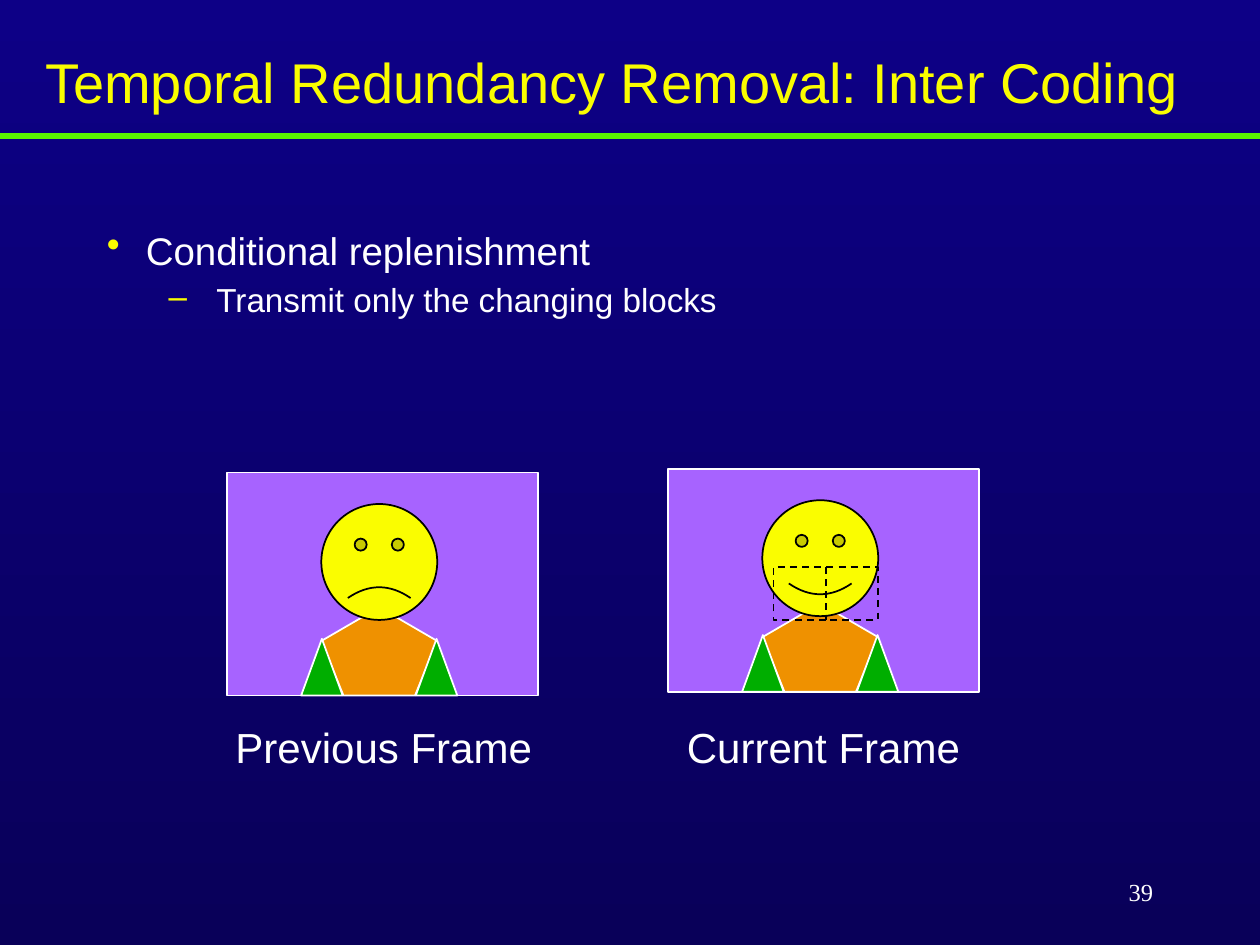
from lxml.etree import SubElement
from pptx import Presentation
from pptx.dml.color import RGBColor
from pptx.enum.dml import MSO_LINE
from pptx.enum.shapes import MSO_CONNECTOR, MSO_SHAPE
from pptx.enum.text import MSO_ANCHOR, MSO_AUTO_SIZE, PP_ALIGN
from pptx.oxml.ns import qn
from pptx.util import Inches, Pt

COLORS = {
    "top": "0D0086", "bottom": "090059", "rule": "5AF400", "yellow": "FAFD00",
    "white": "FFFFFF", "black": "000000", "purple": "A763FF", "orange": "EF9100",
    "green": "00AE00",
}


def rgb(name):
    return RGBColor.from_string(COLORS[name])


class SlideBuilder:
    """Holds the style and the current slide, and adds elements to it."""

    font = "Arial"

    def __init__(self, slide):
        self.slide = slide

    def background(self, first, last):
        fill = self.slide.background.fill
        fill.gradient()
        fill.gradient_angle = 270
        for stop, name, position in zip(fill.gradient_stops, (first, last), (0, 1)):
            stop.color.rgb = rgb(name)
            stop.position = position

    def outline(self, line, color, width, dash=None):
        line.color.rgb = rgb(color)
        line.width = Pt(width)
        if dash:
            line.dash_style = dash

    def line(self, start, end, color, width=1, dash=None, parent=None):
        shapes = (parent or self.slide).shapes
        points = [Inches(value) for value in (*start, *end)]
        connector = shapes.add_connector(MSO_CONNECTOR.STRAIGHT, *points)
        self.outline(connector.line, color, width, dash)
        SubElement(connector._element.spPr, qn("a:effectLst"))

    def shape(self, kind, box, fill=None, color="white", dash=None, parent=None):
        shapes = (parent or self.slide).shapes
        shape = shapes.add_shape(kind, *map(Inches, box))
        shape.shadow.inherit = False
        if fill:
            shape.fill.solid()
            shape.fill.fore_color.rgb = rgb(fill)
        else:
            shape.fill.background()
        self.outline(shape.line, color, 1, dash)
        return shape

    def style(self, paragraph, size, color, font=None):
        for run in paragraph.runs:
            run.font.name = font or self.font
            run.font.size = Pt(size)
            run.font.color.rgb = rgb(color)

    def text(self, text, box, size, color="white", align=PP_ALIGN.LEFT,
             anchor=MSO_ANCHOR.MIDDLE, wrap=True, grow=True, font=None):
        frame = self.slide.shapes.add_textbox(*map(Inches, box)).text_frame
        frame.text = text
        frame.word_wrap = wrap
        frame.vertical_anchor = anchor
        frame.auto_size = MSO_AUTO_SIZE.SHAPE_TO_FIT_TEXT if grow else MSO_AUTO_SIZE.NONE
        frame.paragraphs[0].alignment = align
        self.style(frame.paragraphs[0], size, color, font)

    def bullets(self, items, box):
        frame = self.slide.shapes.add_textbox(*map(Inches, box)).text_frame
        frame.word_wrap = True
        frame.text = "\n".join(item[0] for item in items)
        for paragraph, item in zip(frame.paragraphs, items):
            _, level, symbol, size, margin, indent, before, spacing = item
            paragraph.level = level
            paragraph.space_before = Pt(before)
            paragraph.line_spacing = spacing
            self.style(paragraph, size, "white")
            properties = paragraph._p.get_or_add_pPr()
            properties.set("marL", str(Inches(margin)))
            properties.set("indent", str(Inches(indent)))
            bullet_color = SubElement(properties, qn("a:buClr"))
            SubElement(bullet_color, qn("a:srgbClr"), val=COLORS["yellow"])
            SubElement(properties, qn("a:buChar"), char=symbol)

    def video_frame(self, left, top, mouth):
        self.shape(MSO_SHAPE.RECTANGLE, (left, top, 2.47, 1.77), "purple")
        self.shape(MSO_SHAPE.REGULAR_PENTAGON, (left + 0.75, top + 1.07, 0.92, 0.7), "orange")
        face = self.shape(MSO_SHAPE.SMILEY_FACE, (left + 0.75, top + 0.25, 0.92, 0.92),
                          "yellow", "black")
        face.adjustments[0] = mouth
        for offset in (0.59, 1.5):
            self.shape(MSO_SHAPE.ISOSCELES_TRIANGLE,
                       (left + offset, top + 1.32, 0.33, 0.45), "green")

    def changed_blocks(self, left, top, width, height):
        group = self.slide.shapes.add_group_shape()
        middle = left + width / 2
        self.shape(MSO_SHAPE.RECTANGLE, (left, top, width, height), color="black",
                   dash=MSO_LINE.DASH, parent=group)
        self.line((middle, top), (middle, top + height), "black",
                  dash=MSO_LINE.DASH, parent=group)


def main():
    presentation = Presentation()
    presentation.slide_width = Inches(10)
    presentation.slide_height = Inches(7.5)
    builder = SlideBuilder(presentation.slides.add_slide(presentation.slide_layouts[6]))
    builder.background("top", "bottom")
    builder.line((0, 1.08), (10, 1.08), "rule", 3)
    builder.text("Temporal Redundancy Removal: Inter Coding", (0.26, 0.33, 9.27, 0.64),
                 32, "yellow", anchor=MSO_ANCHOR.TOP, wrap=False)
    builder.bullets([
        ("Conditional replenishment", 0, "•", 22, 0.31, -0.31, 2, 1.0),
        ("Transmit only the changing blocks", 1, "–", 19, 0.87, -0.38, 6.5, 0.9),
    ], (0.75, 1.75, 8.5, 4.92))
    builder.text("39", (7.17, 6.83, 2.08, 0.5), 14, align=PP_ALIGN.RIGHT,
                 wrap=False, grow=False, font="Times New Roman")
    builder.text("Previous Frame", (1.57, 5.68, 2.95, 0.5), 24, align=PP_ALIGN.CENTER)
    builder.text("Current Frame", (5.3, 5.68, 2.47, 0.5), 24, align=PP_ALIGN.CENTER)
    builder.video_frame(5.3, 3.72, 0.05)
    builder.changed_blocks(6.14, 4.5, 0.83, 0.42)
    builder.video_frame(1.8, 3.75, -0.05)
    presentation.save("out.pptx")


if __name__ == "__main__":
    main()
